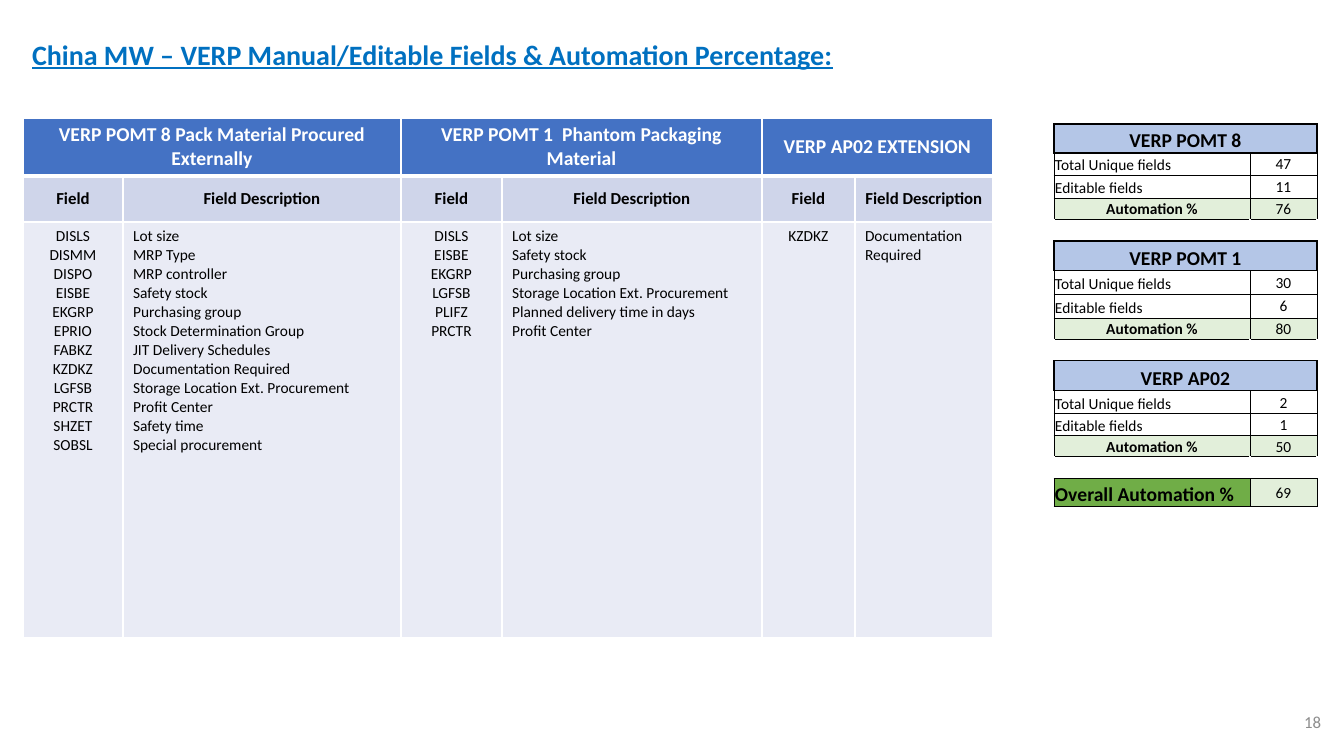
"""Build the slide on manual fields and automation percentages."""
import lxml.etree
import pptx
import pptx.dml.color
import pptx.enum.text
import pptx.oxml.ns
import pptx.util

TITLE = "China MW – VERP Manual/Editable Fields & Automation Percentage:"
PAGE = "18"
FIELD_GROUPS = [
    ("VERP POMT 8 Pack Material Procured Externally", [
        ("DISLS", "Lot size"),
        ("DISMM", "MRP Type"),
        ("DISPO", "MRP controller"),
        ("EISBE", "Safety stock"),
        ("EKGRP", "Purchasing group"),
        ("EPRIO", "Stock Determination Group"),
        ("FABKZ", "JIT Delivery Schedules"),
        ("KZDKZ", "Documentation Required"),
        ("LGFSB", "Storage Location Ext. Procurement"),
        ("PRCTR", "Profit Center"),
        ("SHZET", "Safety time"),
        ("SOBSL", "Special procurement"),
    ]),
    ("VERP POMT 1  Phantom Packaging Material", [
        ("DISLS", "Lot size"),
        ("EISBE", "Safety stock"),
        ("EKGRP", "Purchasing group"),
        ("LGFSB", "Storage Location Ext. Procurement"),
        ("PLIFZ", "Planned delivery time in days"),
        ("PRCTR", "Profit Center"),
    ]),
    ("VERP AP02 EXTENSION", [("KZDKZ", "Documentation Required")]),
]
SCORES = [("VERP POMT 8", 47, 11, 76), ("VERP POMT 1", 30, 6, 80), ("VERP AP02", 2, 1, 50)]
SCORE_LABELS = ["Total Unique fields", "Editable fields", "Automation %"]
OVERALL = ("Overall Automation %", 69)

FIELD_COLS = [100, 278, 101, 260, 93, 138]
FIELD_ROWS = [58, 46, 416]
SCORE_COLS = [196, 67]
SCORE_ROWS = [29, 22, 23, 21, 22, 30, 23, 24, 21, 22, 30, 23, 22, 21, 22, 28]

FONT = "Calibri"
ALIGN = {"l": pptx.enum.text.PP_ALIGN.LEFT, "c": pptx.enum.text.PP_ALIGN.CENTER,
         "r": pptx.enum.text.PP_ALIGN.RIGHT}
ANCHOR = {"t": pptx.enum.text.MSO_ANCHOR.TOP, "m": pptx.enum.text.MSO_ANCHOR.MIDDLE,
          "b": pptx.enum.text.MSO_ANCHOR.BOTTOM}


def px(length):
    return round(length * 914400 / 100.8)


def color(value):
    return pptx.dml.color.RGBColor.from_string(value)


def write(frame, text, size=11, bold=False, ink="000000", align="l", underline=None, spacing=None):
    for number, line in enumerate(text.split("\n")):
        paragraph = frame.add_paragraph() if number else frame.paragraphs[0]
        paragraph.alignment = ALIGN[align]
        paragraph.line_spacing = spacing
        run = paragraph.add_run()
        run.text = line
        run.font.name, run.font.size = FONT, pptx.util.Pt(size)
        run.font.bold, run.font.underline = bold, underline
        run.font.color.rgb = color(ink)


def set_borders(cell, ink, **widths):
    properties = cell._tc.get_or_add_tcPr()
    for place, side in enumerate(side for side in "LRTB" if side in widths):
        line = lxml.etree.Element(pptx.oxml.ns.qn(f"a:ln{side}"),
                                  w=str(pptx.util.Pt(widths[side])))
        fill = lxml.etree.SubElement(line, pptx.oxml.ns.qn("a:solidFill"))
        lxml.etree.SubElement(fill, pptx.oxml.ns.qn("a:srgbClr"), val=ink)
        properties.insert(place, line)


def set_cell(cell, text, fill=None, anchor="m", **style):
    if fill:
        cell.fill.solid()
        cell.fill.fore_color.rgb = color(fill)
    cell.vertical_anchor = ANCHOR[anchor]
    write(cell.text_frame, text, **style)


def new_table(slide, left, top, widths, heights):
    table = slide.shapes.add_table(len(heights), len(widths), px(left), px(top),
                                   px(sum(widths)), px(sum(heights))).table
    table.first_row = table.horz_banding = False
    for column, width in zip(table.columns, widths):
        column.width = px(width)
    for row, height in zip(table.rows, heights):
        row.height = px(height)
    return table


def add_fields(slide):
    fields = new_table(slide, 23, 118, FIELD_COLS, FIELD_ROWS)
    for group, (heading, entries) in enumerate(FIELD_GROUPS):
        first = 2 * group
        fields.cell(0, first).merge(fields.cell(0, first + 1))
        set_cell(fields.cell(0, first), heading, "4472C4", size=14, bold=True,
                 ink="FFFFFF", align="c")
        for side, (label, align) in enumerate([("Field", "c"), ("Field Description", "l")]):
            names = "\n".join(entry[side] for entry in entries)
            set_cell(fields.cell(1, first + side), label, "CFD5EA", size=12, bold=True, align="c")
            set_cell(fields.cell(2, first + side), names, "E9EBF5", anchor="t", align=align)
    for row in range(len(FIELD_ROWS)):
        for column in range(len(FIELD_COLS)):
            set_borders(fields.cell(row, column), "FFFFFF", L=1, R=1,
                        T=3 if row == 1 else 1, B=3 if row == 0 else 1)


def add_scores(slide):
    scores = new_table(slide, 1054, 124, SCORE_COLS, SCORE_ROWS)
    block = len(SCORE_LABELS) + 2
    last = len(SCORE_ROWS) - 1
    for row in range(len(SCORE_ROWS)):
        part = row % block
        heading = part == 0 and row < last
        gap = part == block - 1
        for column in range(len(SCORE_COLS)):
            cell = scores.cell(row, column)
            cell.margin_left = cell.margin_right = cell.margin_top = px(1)
            cell.margin_bottom = 0
            cell.fill.background()
            if heading:
                set_borders(cell, "000000", L=1, R=1, T=1, B=1)
            elif gap:
                set_borders(cell, "000000", T=0.5, B=0.5 if row + 1 == last else 1)
            else:
                set_borders(cell, "000000", L=0.5, R=0.5, T=1 if part == 1 else 0.5, B=0.5)
            if gap or (heading and column):
                lxml.etree.SubElement(cell.text_frame.paragraphs[0]._p,
                                      pptx.oxml.ns.qn("a:endParaRPr"), sz="1100")
    for group, (heading, *values) in enumerate(SCORES):
        top = group * block
        scores.cell(top, 0).merge(scores.cell(top, 1))
        set_cell(scores.cell(top, 0), heading, "B4C6E7", "b", size=14, bold=True, align="c")
        for row, (label, value) in enumerate(zip(SCORE_LABELS, values), top + 1):
            result = label == SCORE_LABELS[-1]
            fill = "E2EFDA" if result else None
            set_cell(scores.cell(row, 0), label, fill, "m" if result else "b",
                     bold=result, align="c" if result else "l")
            set_cell(scores.cell(row, 1), str(value), fill, align="c")
    label, value = OVERALL
    set_cell(scores.cell(last, 0), label, "70AD47", "b", size=14, bold=True)
    set_cell(scores.cell(last, 1), str(value), "E2EFDA", align="c")


def main():
    deck = pptx.Presentation()
    deck.slide_width, deck.slide_height = px(1344), px(756)
    slide = deck.slides.add_slide(deck.slide_layouts[5])

    title = slide.shapes.title
    title.left, title.top, title.width, title.height = px(22), px(36), px(1305), px(59)
    title.text_frame.auto_size = pptx.enum.text.MSO_AUTO_SIZE.NONE
    title.text_frame.vertical_anchor = ANCHOR["t"]
    write(title.text_frame, TITLE, size=20, bold=True, ink="0070C0", underline=True, spacing=0.9)

    add_fields(slide)
    add_scores(slide)

    page = slide.shapes.add_textbox(px(1029), px(702), px(302), px(40)).text_frame
    page.word_wrap = True
    page.vertical_anchor = ANCHOR["m"]
    write(page, PAGE, size=12, ink="8C8C8C", align="r")
    deck.save("out.pptx")


if __name__ == "__main__":
    main()
